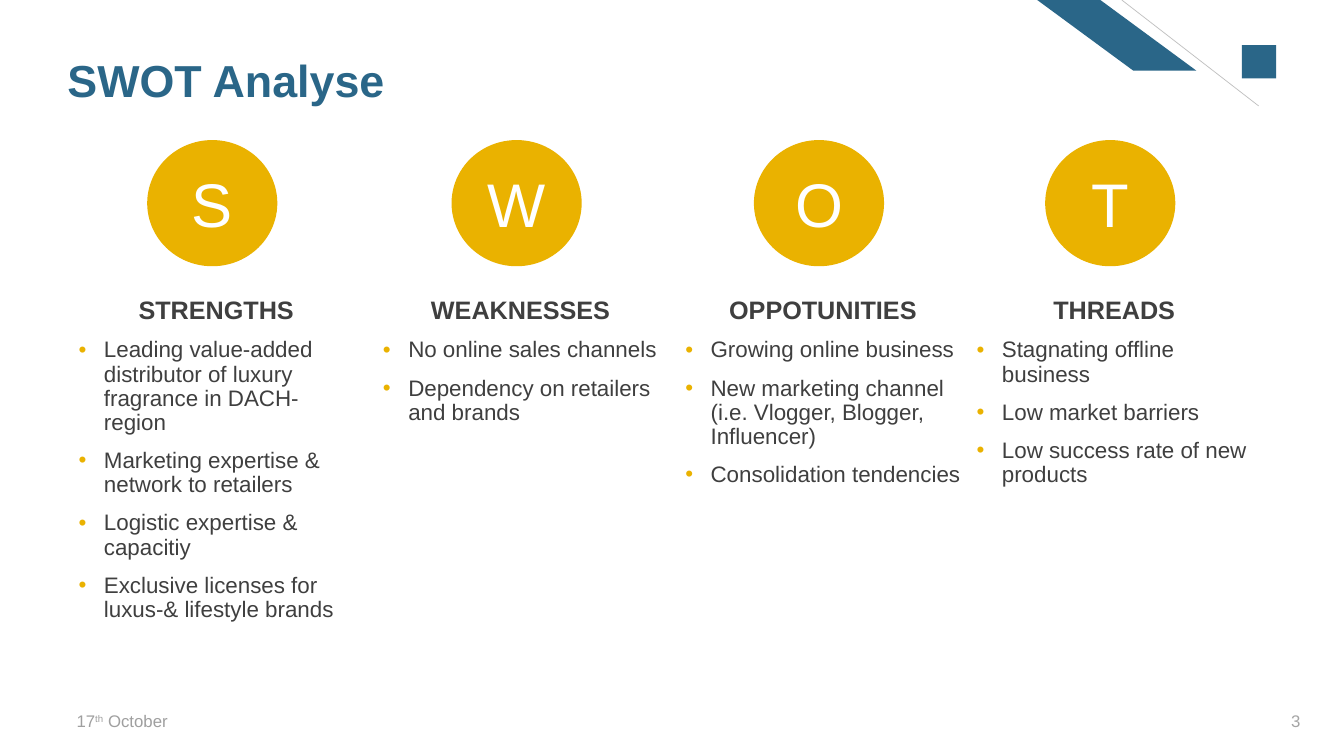
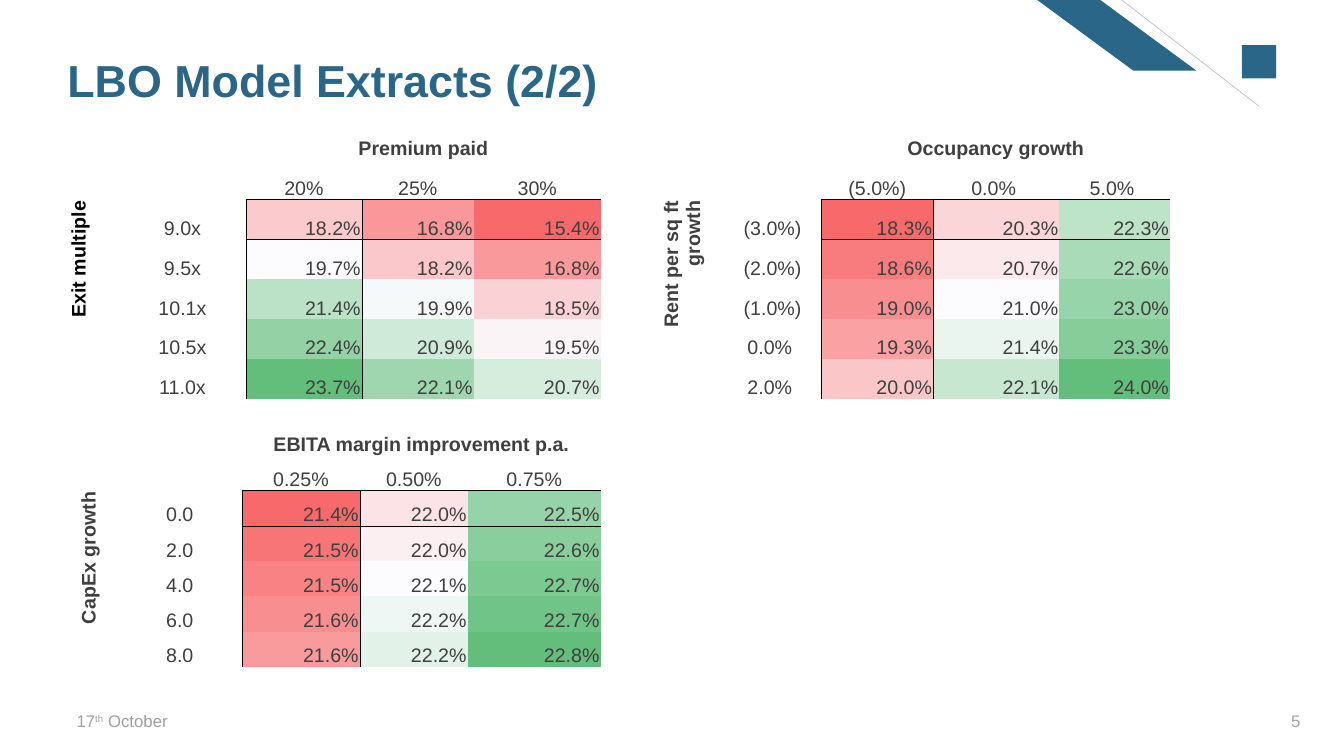
from dataclasses import dataclass

from lxml import etree
from pptx import Presentation
from pptx.dml.color import RGBColor
from pptx.enum import shapes, text
from pptx.oxml.ns import qn
from pptx.util import Cm, Pt


@dataclass(frozen=True)
class Theme:
    blue: str = "2A6688"
    gold: str = "EAB200"
    ink: str = "3F3F3F"
    white: str = "FFFFFF"
    black: str = "000000"
    date: str = "9F9F9F"
    number: str = "A5A5A5"
    rule: str = "BFBFBF"
    font: str = "Arial"
    title: int = 32
    letter: int = 44
    heading: int = 18
    body: int = 16
    table: int = 14
    footer: int = 12


THEME = Theme()
ALIGN = text.PP_ALIGN
ANCHOR = text.MSO_ANCHOR
PLAIN_TABLE = "{2D5ABB26-0587-4C30-8999-92F81FD0307C}"

# Content: SWOT columns as circle left (cm), heading, bullets
SWOT = [
    (3.71, "STRENGTHS", [
        "Leading value-added distributor of luxury fragrance in DACH-region",
        "Marketing expertise & network to retailers",
        "Logistic expertise & capacitiy",
        "Exclusive licenses for luxus-& lifestyle brands"]),
    (11.38, "WEAKNESSES", [
        "No online sales channels",
        "Dependency on retailers and brands"]),
    (19.0, "OPPOTUNITIES", [
        "Growing online business",
        "New marketing channel (i.e. Vlogger, Blogger, Influencer)",
        "Consolidation tendencies"]),
    (26.34, "THREADS", [
        "Stagnating offline business",
        "Low market barriers",
        "Low success rate of new products"]),
]

# Content: sensitivity tables, each value with its heat colour
SENSITIVITIES = [
    dict(top_title="Premium paid", side_title="Exit multiple",
         side=dict(color=THEME.black, anchor=ANCHOR.BOTTOM),
         place=(1.68, 3.02, 7.04), widths=(1.32, 3.2, 2.92, 2.82, 3.2),
         heads=("20%", "25%", "30%"),
         rows=[
             ("9.0x", "18.2% FACACC", "16.8% F9979A", "15.4% F8696B"),
             ("9.5x", "19.7% FCFCFF", "18.2% FAC8CB", "16.8% F9999B"),
             ("10.1x", "21.4% BBE2C7", "19.9% F5F9F9", "18.5% FAD2D5"),
             ("10.5x", "22.4% 94D2A6", "20.9% CFEAD8", "19.5% FBF4F7"),
             ("11.0x", "23.7% 63BE7B", "22.1% 9FD6AF", "20.7% D6EDDE")]),
    dict(top_title="Occupancy growth", side_title="Rent per sq ft growth",
         side=dict(color=THEME.ink, anchor=ANCHOR.MIDDLE),
         place=(16.61, 3.02, 7.04), widths=(1.63, 2.46, 2.82, 3.18, 2.79),
         heads=("(5.0%)", "0.0% ", "5.0% "),
         rows=[
             ("(3.0%)", "18.3% F8696B", "20.3% FAD6D9", "22.3% BDE3C8"),
             ("(2.0%)", "18.6% F87C7E", "20.7% FBE9EC", "22.6% AADBB9"),
             ("(1.0%)", "19.0% F98E91", "21.0% FCFCFF", "23.0% 98D4A9"),
             ("0.0% ", "19.3% F9A1A3", "21.4% EAF5F0", "23.3% 87CD9A"),
             ("2.0% ", "20.0% FAC6C8", "22.1% C7E7D1", "24.0% 63BE7B")]),
    dict(top_title="EBITA margin improvement p.a.", side_title="CapEx growth",
         side=dict(color=THEME.ink, anchor=ANCHOR.MIDDLE),
         place=(1.93, 10.59, 6.22), widths=(1.17, 3.0, 2.97, 2.72, 3.35),
         heads=("0.25%", "0.50%", "0.75%"),
         rows=[
             ("0.0 ", "21.4% F8696B", "22.0% FBE3E6", "22.5% 97D3A8"),
             ("2.0 ", "21.5% F87577", "22.0% FBEFF2", "22.6% 8ACE9D"),
             ("4.0 ", "21.5% F88284", "22.1% FCFCFF", "22.7% 7DC992"),
             ("6.0 ", "21.6% F98E91", "22.2% EFF7F4", "22.7% 70C487"),
             ("8.0 ", "21.6% F99B9D", "22.2% E2F2E9", "22.8% 63BE7B")]),
]


# Helpers
def assign(target, values):
    for name, value in values.items():
        setattr(target, name, value)


def paint(target, color):
    target.fill.solid()
    target.fill.fore_color.rgb = RGBColor.from_string(color)


def write(para, words, size, color, bold=False, **layout):
    assign(para, layout)
    span = para.add_run()
    span.text = words
    assign(span.font, dict(name=THEME.font, size=Pt(size), bold=bold))
    span.font.color.rgb = RGBColor.from_string(color)
    return span


def add_box(page, place, **frame_values):
    frame = page.shapes.add_textbox(*map(Cm, place)).text_frame
    assign(frame, dict(word_wrap=True, **frame_values))
    return frame


def add_block(page, kind, place, color):
    shape = page.shapes.add_shape(kind, *map(Cm, place))
    shape.shadow.inherit = False
    paint(shape, color)
    shape.line.fill.background()
    return shape


def add_bullet(para):
    props = para._p.get_or_add_pPr()
    assign_xml = dict(marL=str(Cm(0.64)), indent=str(-Cm(0.64)))
    for name, value in assign_xml.items():
        props.set(name, value)
    tint = etree.SubElement(props, qn("a:buClr"))
    etree.SubElement(tint, qn("a:srgbClr"), val=THEME.gold)
    etree.SubElement(props, qn("a:buFont"), typeface=THEME.font)
    etree.SubElement(props, qn("a:buChar"), char="•")


def add_borders(cell, edges):
    props = cell._tc.get_or_add_tcPr()
    for position, edge in enumerate(edges):
        line = etree.Element(qn(f"a:ln{edge}"), w=str(Pt(0.5)))
        fill = etree.SubElement(line, qn("a:solidFill"))
        etree.SubElement(fill, qn("a:srgbClr"), val=THEME.black)
        props.insert(position, line)


# Shared page: corner decoration, title, footer
def add_page(deck, title, number):
    page = deck.slides.add_slide(deck.slide_layouts[6])
    band = add_block(page, shapes.MSO_SHAPE.PARALLELOGRAM,
                     (26.14, 0, 4.01, 1.78), THEME.blue)
    band.adjustments[0] = 1.36
    band._element.spPr.find(qn("a:xfrm")).set("flipH", "1")
    add_block(page, shapes.MSO_SHAPE.RECTANGLE,
              (31.3, 1.14, 0.86, 0.84), THEME.blue)

    rule = page.shapes.add_connector(
        shapes.MSO_CONNECTOR.STRAIGHT, *map(Cm, (31.72, 2.67, 28.27, 0)))
    rule.line.width = Pt(0.5)
    rule.line.color.rgb = RGBColor.from_string(THEME.rule)
    etree.SubElement(rule._element.spPr, qn("a:effectLst"))

    heading = add_box(page, (1.45, 0.58, 23.14, 2.11),
                      vertical_anchor=ANCHOR.BOTTOM, margin_bottom=0)
    write(heading.paragraphs[0], title, THEME.title, THEME.blue, True,
          line_spacing=0.9)

    date = add_box(page, (1.68, 17.65, 11.43, 1.02),
                   vertical_anchor=ANCHOR.MIDDLE).paragraphs[0]
    for words, baseline in (("17", 0), ("th", 30000), (" October", 0)):
        span = write(date, words, THEME.footer, THEME.date)
        span._r.get_or_add_rPr().set("baseline", str(baseline))
    corner = add_box(page, (30.96, 17.65, 2.06, 1.02),
                     vertical_anchor=ANCHOR.MIDDLE)
    write(corner.paragraphs[0], str(number), THEME.footer, THEME.number,
          alignment=ALIGN.RIGHT)
    return page


# SWOT column: lettered circle over heading and bullets
def add_swot_column(page, left, letter, heading, bullets):
    circle = add_block(page, shapes.MSO_SHAPE.OVAL,
                       (left, 3.53, 3.28, 3.18), THEME.gold)
    circle.text_frame.vertical_anchor = ANCHOR.MIDDLE
    write(circle.text_frame.paragraphs[0], letter, THEME.letter, THEME.white,
          alignment=ALIGN.CENTER)

    frame = add_box(page, (left - 1.98, 7.37, 7.44, 8.53))
    spacing = dict(line_spacing=0.9, space_before=Pt(10))
    write(frame.paragraphs[0], heading, THEME.heading, THEME.ink, True,
          alignment=ALIGN.CENTER, **spacing)
    for bullet in bullets:
        para = frame.add_paragraph()
        write(para, bullet, THEME.body, THEME.ink, **spacing)
        add_bullet(para)


# Sensitivity table: titles on merged cells, heat-coloured values
def add_sensitivity(page, top_title, side_title, side, place, widths, heads,
                    rows):
    left, top, height = place
    count = len(rows) + 2
    table = page.shapes.add_table(
        count, len(widths), *map(Cm, (left, top, sum(widths), height))).table
    assign(table, dict(first_row=False, horz_banding=False))
    table._tbl.find(".//" + qn("a:tableStyleId")).text = PLAIN_TABLE
    for column, width in zip(table.columns, widths):
        column.width = Cm(width)
    for row in table.rows:
        row.height = Cm(height) // count
    for cell in table.iter_cells():
        cell.fill.background()
        assign(cell, dict(margin_left=Cm(0.03), margin_right=Cm(0.03),
                          margin_top=Cm(0.03), margin_bottom=0,
                          vertical_anchor=ANCHOR.BOTTOM))

    def fill_cell(row, column, words, alignment=ALIGN.CENTER, bold=False,
                  color=THEME.ink):
        cell = table.cell(row, column)
        write(cell.text_frame.paragraphs[0], words, THEME.table, color, bold,
              alignment=alignment)
        return cell

    table.cell(0, 2).merge(table.cell(0, 4))
    fill_cell(0, 2, top_title, bold=True)
    table.cell(2, 0).merge(table.cell(count - 1, 0))
    label = fill_cell(2, 0, side_title, ALIGN.RIGHT, True, side["color"])
    label.vertical_anchor = side["anchor"]
    label._tc.get_or_add_tcPr().set("vert", "vert270")

    for column, head in enumerate(heads, 2):
        add_borders(fill_cell(1, column, head), "B")
    for row, (name, *entries) in enumerate(rows, 2):
        add_borders(fill_cell(row, 1, name), "R")
        for column, entry in enumerate(entries, 2):
            value, heat = entry.split()
            cell = fill_cell(row, column, value, ALIGN.RIGHT)
            paint(cell, heat)
            add_borders(cell, "L" * (column == 2) + "T" * (row == 2))


def main():
    deck = Presentation()
    assign(deck, dict(slide_width=Cm(33.87), slide_height=Cm(19.05)))

    page = add_page(deck, "SWOT Analyse", 3)
    for letter, (left, heading, bullets) in zip("SWOT", SWOT):
        add_swot_column(page, left, letter, heading, bullets)

    page = add_page(deck, "LBO Model Extracts (2/2)", 5)
    for sensitivity in SENSITIVITIES:
        add_sensitivity(page, **sensitivity)

    deck.save("out.pptx")


if __name__ == "__main__":
    main()
